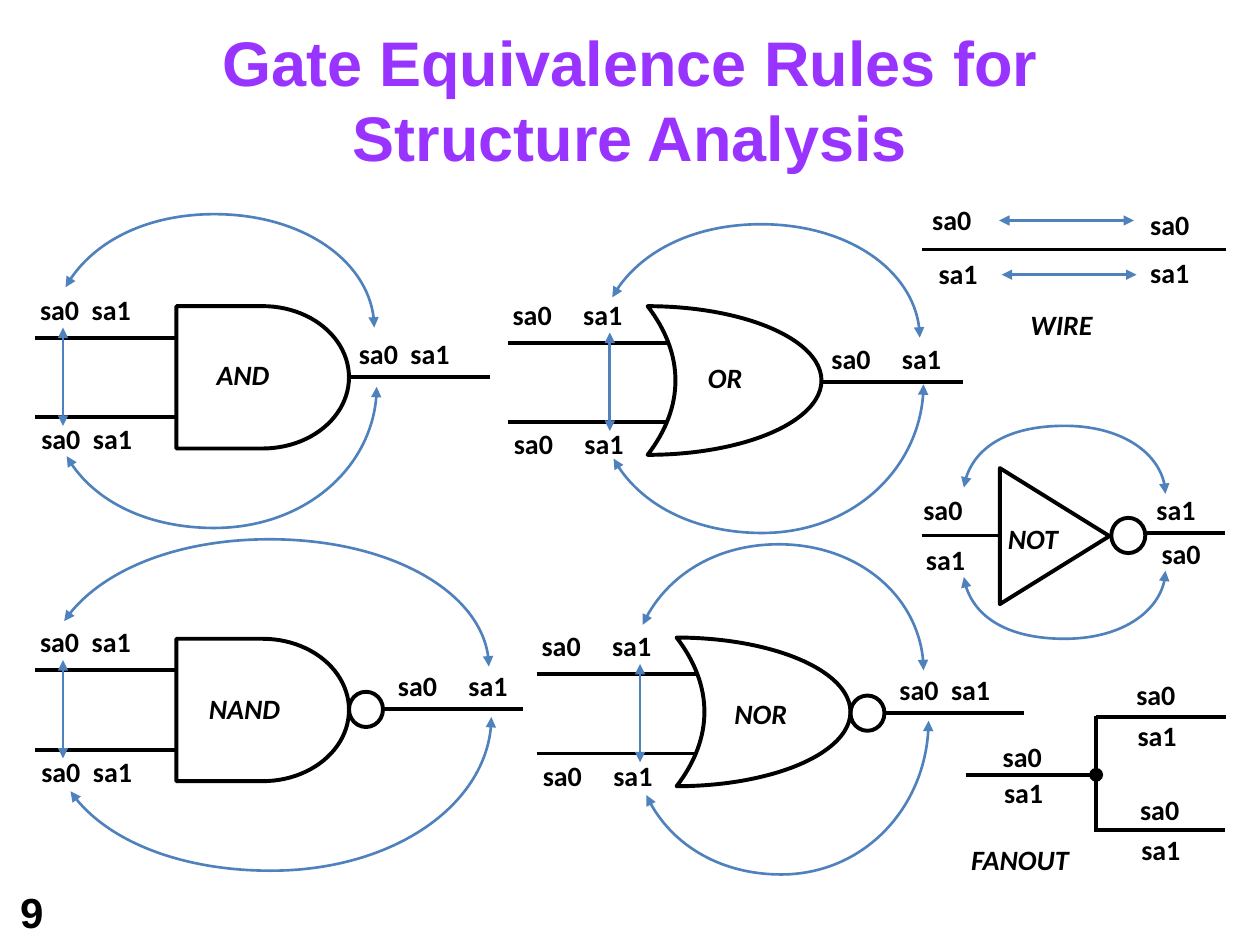
import pptx
import pptx.util
import pptx.dml.color
import pptx.enum.shapes
import pptx.enum.text
import pptx.oxml.ns
import lxml.etree

HUES = {"title": "9933FF", "ink": "000000", "link": "4F81BD"}
KIND = pptx.enum.shapes.MSO_SHAPE
FIT = pptx.enum.text.MSO_AUTO_SIZE.SHAPE_TO_FIT_TEXT
PAIR = "sa0\tsa1"
NEAR, FAR = 0.41, 0.56  # tab stops between the two faults, inches

# Gates: left end of top input, label place, shape, input and output tabs,
# input faults x, inverted
GATES = [
    ("AND", 0.28, 2.68, 1.62, 2.79, "delay", NEAR, NEAR, 0.22, False),
    ("NAND", 0.28, 5.32, 1.56, 5.44, "delay", NEAR, FAR, 0.22, True),
    ("OR", 4.03, 2.72, 5.52, 2.81, "moon", FAR, FAR, 0.81, False),
    ("NOR", 4.26, 5.35, 5.73, 5.48, "moon", FAR, NEAR, 0.82, True),
]

# Equivalence curves: start, apex, end, lean of the start
CURVES = [
    ((0.52, 2.28), (1.70, 1.70), (2.97, 2.60), 0.16),
    ((0.53, 3.62), (1.70, 4.19), (2.99, 3.07), 0.16),
    ((0.51, 4.93), (2.14, 4.28), (3.88, 5.29), 0.16),
    ((0.56, 6.28), (2.15, 6.91), (3.90, 5.69), 0.16),
    ((4.86, 2.36), (6.04, 1.78), (7.30, 2.68), 0.16),
    ((4.87, 3.64), (6.05, 4.23), (7.33, 3.05), 0.16),
    ((5.10, 4.96), (6.18, 4.32), (7.33, 5.32), 0.16),
    ((5.13, 6.31), (6.20, 6.94), (7.37, 5.72), 0.16),
    ((7.65, 3.87), (8.45, 3.38), (9.25, 3.92), 0.05),
    ((7.65, 4.58), (8.45, 5.07), (9.25, 4.53), 0.05),
]

# Wire, NOT and fanout: wires, links, fault labels, names
WIRES = [
    (7.32, 1.98, 9.73, 1.98),
    (9.10, 4.23, 9.72, 4.23), (7.32, 4.25, 7.93, 4.25),
    (7.67, 6.15, 8.70, 6.15), (8.70, 5.69, 9.73, 5.69),
    (8.69, 6.59, 9.72, 6.59), (8.70, 5.68, 8.70, 6.60),
]
LINKS = [(7.93, 1.75, 9.00, 1.75), (7.95, 2.18, 9.02, 2.18)]
FAULTS = {
    "sa0": [(7.30, 1.56), (9.03, 1.60), (7.23, 3.86), (9.12, 4.21),
            (7.86, 5.82), (8.92, 5.33), (8.95, 6.24)],
    "sa1": [(7.35, 1.99), (9.03, 1.98), (7.25, 4.26), (9.08, 3.86),
            (7.87, 6.11), (8.93, 5.65), (8.96, 6.56)],
}
NAMES = [("WIRE", 8.08, 2.39), ("NOT", 7.90, 4.09), ("FANOUT", 7.61, 6.64)]
WIDTHS = {"AND": 0.68, "NAND": 0.83, "OR": 0.53, "NOR": 0.68,
          "WIRE": 0.75, "NOT": 0.66, "FANOUT": 1.04}


def size(inch):
    return pptx.util.Cm(inch * 2.54)


def hue(name):
    return pptx.dml.color.RGBColor.from_string(HUES[name])


def add(node, tag, **attrs):
    return lxml.etree.SubElement(node, pptx.oxml.ns.qn(tag), attrs)


def pen(item, name, width, heads=False):
    item.line.color.rgb = hue(name)
    item.line.width = pptx.util.Pt(width)
    if heads:
        line = item.line._get_or_add_ln()
        add(line, "a:headEnd", type="triangle")
        add(line, "a:tailEnd", type="triangle")


def wire(x1, y1, x2, y2, name="ink", width=2.25, heads=False):
    item = slide.shapes.add_connector(
        pptx.enum.shapes.MSO_CONNECTOR.STRAIGHT, *map(size, (x1, y1, x2, y2)))
    pen(item, name, width, heads)
    add(item._element.spPr, "a:effectLst")


def link(*ends):
    wire(*ends, name="link", width=1.5, heads=True)


def form(kind, *place):
    item = slide.shapes.add_shape(kind, *map(size, place))
    item.shadow.inherit = False
    item.fill.background()
    pen(item, "ink", 2.25)
    return item


def write(par, text, font, points, name, slant=None):
    run = par.add_run()
    run.text = text
    run.font.name, run.font.size = font, pptx.util.Pt(points)
    run.font.bold, run.font.italic = True, slant
    run.font.color.rgb = hue(name)


def label(text, x, y, width, slant=None, tab=None):
    box = slide.shapes.add_textbox(*map(size, (x, y, width, 0.37)))
    frame = box.text_frame
    frame.word_wrap, frame.auto_size = False, FIT
    par = frame.paragraphs[0]
    if tab:
        stops = add(par._p.get_or_add_pPr(), "a:tabLst")
        add(stops, "a:tab", pos=str(size(tab)), algn="l")
    write(par, text, "Calibri", 16, "ink", slant)


def pair(x, y, tab):
    label(PAIR, x, y, tab + 0.52, tab=tab)


def curve(start, apex, end, lean):
    (sx, sy), (ax, ay), (ex, ey) = start, apex, end
    dots = [
        (sx + lean * (ax - sx), sy + 0.6 * (ay - sy)),
        (ax - (0.6 - lean) * (ax - sx), ay), apex,
        (ax + 0.55 * (ex - ax), ay), (ex, ey + 0.55 * (ay - ey)), end,
    ]
    pen_path = slide.shapes.build_freeform(size(sx), size(sy))
    pen_path.add_line_segments([(size(x), size(y)) for x, y in dots], close=False)
    item = pen_path.convert_to_shape()
    item.shadow.inherit = False
    item.fill.background()
    pen(item, "link", 1.5, True)
    # Each three straight steps become one Bezier step
    steps = list(item._element.iter(pptx.oxml.ns.qn("a:lnTo")))
    outline = steps[0].getparent()
    for first in range(0, len(steps), 3):
        bend = add(outline, "a:cubicBezTo")
        for step in steps[first:first + 3]:
            bend.append(step[0])
            outline.remove(step)


def gate(name, x, y, nx, ny, kind, tab_in, tab_out, fault, bubble):
    moon = kind == "moon"
    for drop in (0, 0.63):
        wire(x, y + drop, x + (1.27 if moon else 1.12), y + drop)
    out = x + (2.75 if bubble else 2.49)
    wire(out, y + 0.31, out + 1.12, y + 0.31)
    if moon:
        body = form(KIND.MOON, x + 1.11, y - 0.29, 1.38, 1.18)
        body.adjustments[0] = 0.84
        body._element.spPr.xfrm.set("flipH", "1")
    else:
        form(KIND.FLOWCHART_DELAY, x + 1.12, y - 0.25, 1.37, 1.13)
    if bubble:
        form(KIND.OVAL, x + 2.49, y + 0.17, 0.27, 0.28)
    pair(x - 0.06, y - 0.41, tab_in)
    pair(x - 0.05, y + 0.62, tab_in)
    pair(out + (0.03 if bubble else -0.02), y - 0.06, tab_out)
    link(x + fault, y - 0.08, x + fault, y + 0.7)
    label(name, nx, ny, WIDTHS[name], True)


def bare(frame):
    frame.margin_left = frame.margin_right = 0
    frame.margin_top = frame.margin_bottom = 0
    frame.word_wrap, frame.auto_size = True, FIT
    return frame.paragraphs[0]


deck = pptx.Presentation()
deck.slide_width, deck.slide_height = size(10), size(7.5)
slide = deck.slides.add_slide(deck.slide_layouts[5])

# Title
title = slide.shapes.title
title.left, title.top, title.width, title.height = map(size, (0.71, 0.18, 8.58, 1.21))
head = bare(title.text_frame)
head.alignment = pptx.enum.text.PP_ALIGN.CENTER
write(head, "Gate Equivalence Rules for Structure Analysis", "Arial", 36, "title")

# Two-input gates and equivalence curves
for row in GATES:
    gate(*row)
for row in CURVES:
    curve(*row)

# Wire, NOT and fanout
for row in WIRES:
    wire(*row)
for row in LINKS:
    link(*row)
form(KIND.ISOSCELES_TRIANGLE, 7.83, 3.82, 1.08, 0.87).rotation = 90
form(KIND.OVAL, 8.82, 4.11, 0.27, 0.28)
dot = form(KIND.OVAL, 8.65, 6.1, 0.1, 0.1)
dot.fill.solid()
dot.fill.fore_color.rgb = hue("ink")
pen(dot, "ink", 0.75)
for text, spots in FAULTS.items():
    for x, y in spots:
        label(text, x, y, 0.52)
for name, x, y in NAMES:
    label(name, x, y, WIDTHS[name], True)

# Slide number
foot = slide.shapes.add_textbox(*map(size, (0.12, 7.05, 0.44, 0.39)))
par = bare(foot.text_frame)
foot.text_frame.margin_left = size(0.04)
par.line_spacing = pptx.util.Pt(27.6)
write(par, "9", "Arial", 24, "ink")

deck.save("out.pptx")
